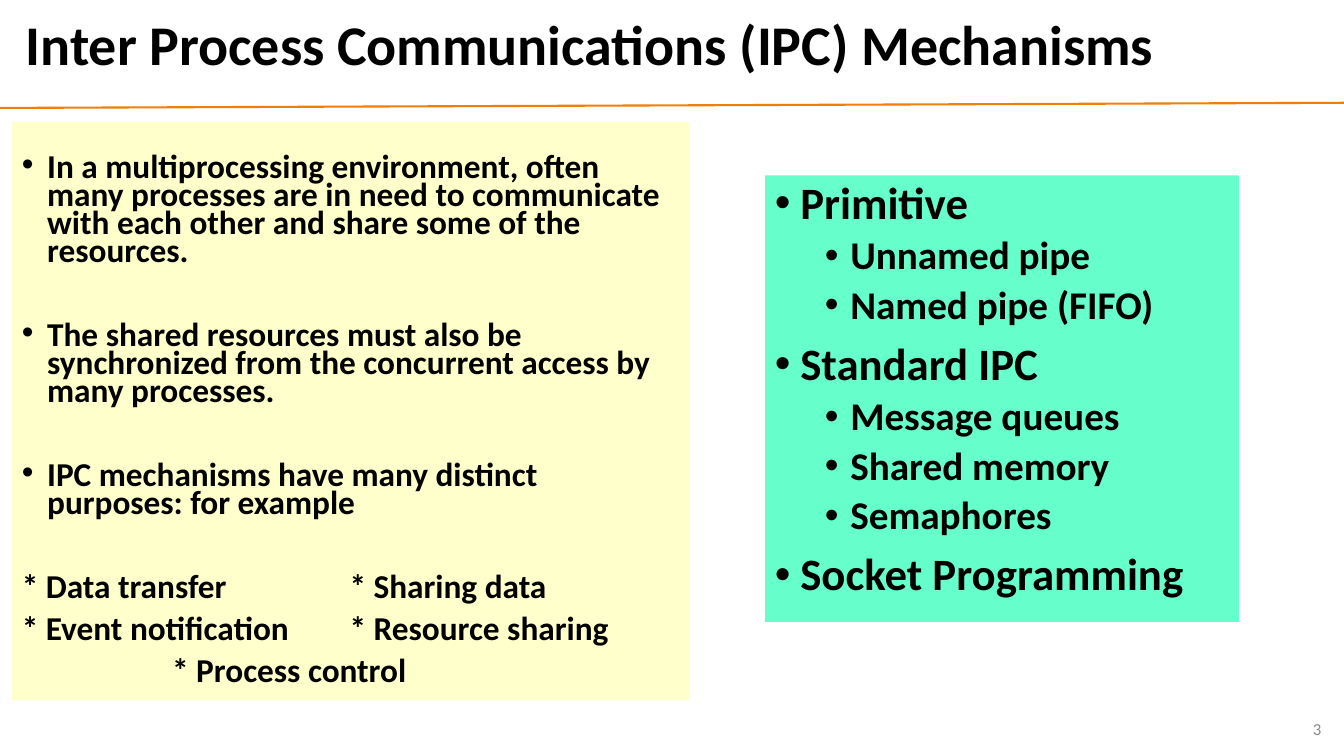
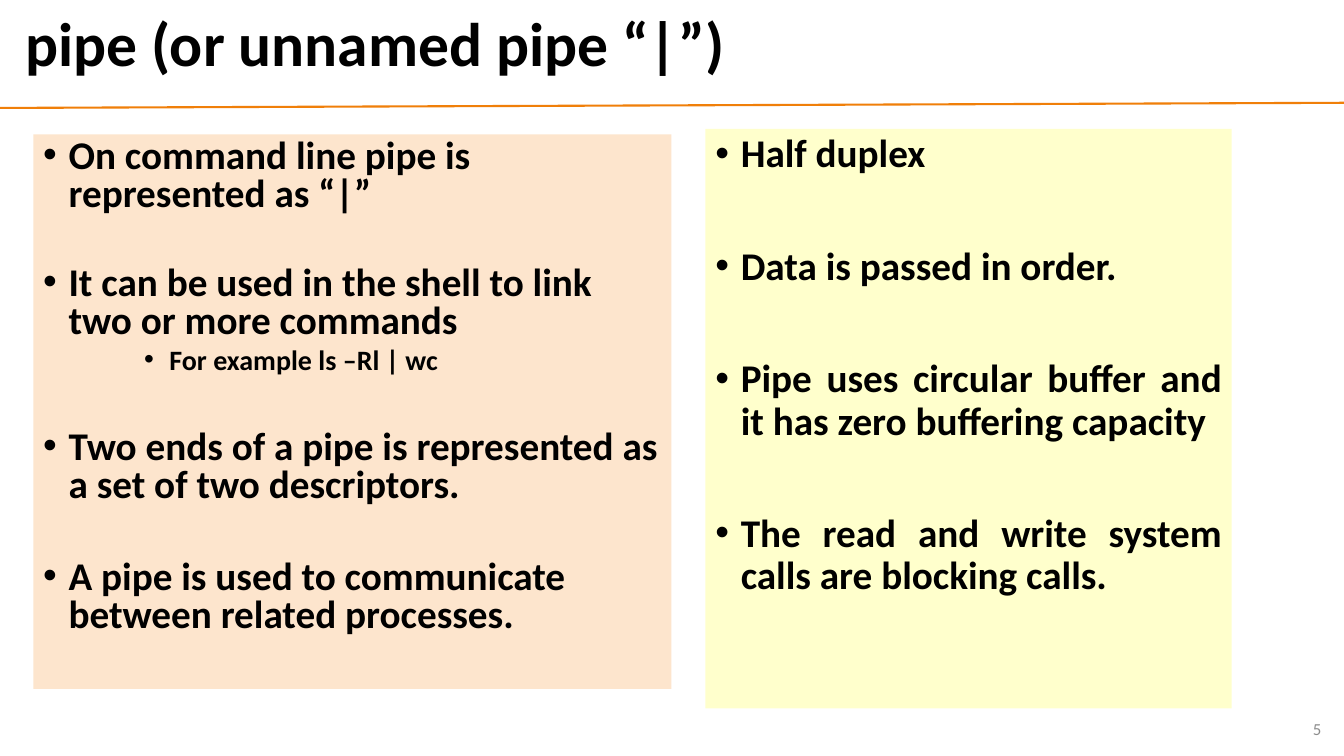
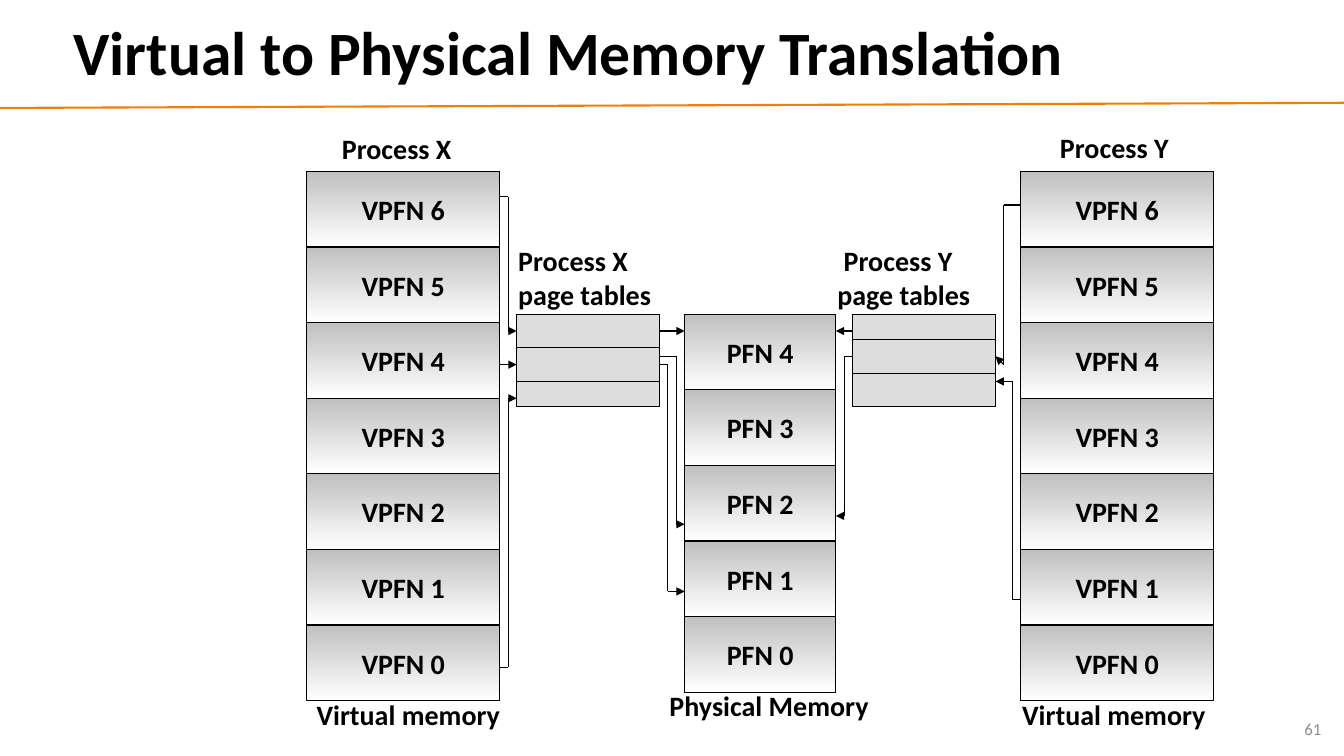
from dataclasses import dataclass
from itertools import pairwise

from lxml.etree import SubElement
from pptx import Presentation
from pptx.dml.color import RGBColor
from pptx.enum.shapes import MSO_CONNECTOR, MSO_SHAPE
from pptx.enum.text import MSO_ANCHOR, PP_ALIGN
from pptx.oxml.ns import qn
from pptx.shapes.autoshape import Shape
from pptx.slide import Slide
from pptx.text.text import TextFrame
from pptx.util import Cm, Pt

FONT = "Calibri"
BLACK = "000000"
ORANGE = "F07F09"
NUMBER_GRAY = "8C8C8C"
CREAM = "FFFFCC"
MINT = "66FFCC"
PEACH = "FDE5CD"
TABLE_GRAY = "DDDDDD"
FRAME_GRAY = "C0C0C0"
WHITE = "FFFFFF"

SLIDE_WIDTH, SLIDE_HEIGHT = 33.87, 19.05
HANG = 0.64
LEVEL_MARGINS = (0.64, 1.9, 3.18)

STEP = 2.54 / 12
DIAGRAM_LEFT, DIAGRAM_TOP = 7.73, 4.32
FRAME_HEIGHT = 9
PAGE_TABLE_TOP, PAGE_TABLE_WIDTH, PAGE_TABLE_HEIGHT = 17, 17, 11


@dataclass
class Line:
    text: str
    size: float
    before: float = 0
    spacing: float = 1
    level: int | None = None
    margin: float = 0
    tab: float = 0
    align: PP_ALIGN = PP_ALIGN.LEFT
    bold: bool = True
    color: str = BLACK


@dataclass
class Box:
    left: float
    top: float
    width: float
    height: float


@dataclass
class Panel:
    box: Box
    fill: str
    lines: list[Line]
    top_inset: float = 0.13


@dataclass
class MemoryColumn:
    prefix: str
    count: int
    left: float
    top: float
    width: float


@dataclass
class PageTable:
    left: float
    dividers: tuple[int, int]


@dataclass
class Label:
    box: Box
    lines: list[Line]


def rgb(code: str) -> RGBColor:
    return RGBColor.from_string(code)


def write(frame: TextFrame, lines: list[Line]) -> None:
    for index, line in enumerate(lines):
        paragraph = frame.paragraphs[0] if index == 0 else frame.add_paragraph()
        paragraph.text = line.text
        paragraph.alignment = line.align
        paragraph.line_spacing = line.spacing
        if line.before:
            paragraph.space_before = Pt(line.before)
        properties = paragraph._p.get_or_add_pPr()
        bulleted = line.level is not None
        margin = LEVEL_MARGINS[line.level] if bulleted else line.margin
        properties.set("marL", str(Cm(margin)))
        properties.set("indent", str(Cm(-HANG if bulleted else 0)))
        if line.tab:
            properties.set("defTabSz", str(Cm(line.tab)))
        if bulleted:
            SubElement(properties, qn("a:buFont"), typeface="Arial")
            SubElement(properties, qn("a:buChar"), char="•")
        font = paragraph.font
        font.name = FONT
        font.size = Pt(line.size)
        font.bold = line.bold
        font.color.rgb = rgb(line.color)


def add_text(slide: Slide, box: Box, lines: list[Line],
             anchor: MSO_ANCHOR = MSO_ANCHOR.TOP) -> None:
    frame = slide.shapes.add_textbox(
        Cm(box.left), Cm(box.top), Cm(box.width), Cm(box.height)).text_frame
    frame.word_wrap = True
    frame.vertical_anchor = anchor
    write(frame, lines)


def add_rectangle(slide: Slide, box: Box, fill: str, outlined: bool = False) -> Shape:
    rectangle = slide.shapes.add_shape(
        MSO_SHAPE.RECTANGLE, Cm(box.left), Cm(box.top), Cm(box.width), Cm(box.height))
    rectangle.shadow.inherit = False
    rectangle.fill.solid()
    rectangle.fill.fore_color.rgb = rgb(fill)
    if outlined:
        rectangle.line.color.rgb = rgb(BLACK)
        rectangle.line.width = Pt(0.75)
    else:
        rectangle.line.fill.background()
    return rectangle


def add_line(slide: Slide, start: tuple[float, float], end: tuple[float, float],
             color: str = BLACK, width: float = 0.75, arrow: bool = False) -> None:
    connector = slide.shapes.add_connector(
        MSO_CONNECTOR.STRAIGHT, Cm(start[0]), Cm(start[1]), Cm(end[0]), Cm(end[1]))
    connector.line.color.rgb = rgb(color)
    connector.line.width = Pt(width)
    if arrow:
        SubElement(connector.line._get_or_add_ln(), qn("a:tailEnd"), type="triangle")
    SubElement(connector._element.spPr, qn("a:effectLst"))


def add_panel(slide: Slide, panel: Panel) -> None:
    frame = add_rectangle(slide, panel.box, panel.fill).text_frame
    frame.word_wrap = True
    frame.vertical_anchor = MSO_ANCHOR.TOP
    frame.margin_top = Cm(panel.top_inset)
    write(frame, panel.lines)


def start_slide(deck: Presentation, title: str, number: int, size: float = 44,
                left: float = 0.4, top: float = 0.13) -> Slide:
    slide = deck.slides.add_slide(deck.slide_layouts[6])
    add_line(slide, (0, 2.72), (SLIDE_WIDTH, 2.59), ORANGE, 1.5)
    add_text(slide, Box(left, top, 32.74, 2.11),
             [Line(title, size, spacing=0.9)], MSO_ANCHOR.MIDDLE)
    add_text(slide, Box(25.93, 17.86, 7.62, 1.02),
             [Line(str(number), 12, align=PP_ALIGN.RIGHT, bold=False, color=NUMBER_GRAY)],
             MSO_ANCHOR.MIDDLE)
    return slide


def at_grid(x: float, y: float) -> tuple[float, float]:
    return DIAGRAM_LEFT + x * STEP, DIAGRAM_TOP + y * STEP


def grid_box(x: float, y: float, width: float, height: float) -> Box:
    return Box(*at_grid(x, y), width * STEP, height * STEP)


def add_memory(slide: Slide, column: MemoryColumn) -> None:
    for row in range(column.count):
        box = grid_box(column.left, column.top + row * FRAME_HEIGHT,
                       column.width, FRAME_HEIGHT)
        page = add_rectangle(slide, box, WHITE, outlined=True)
        page.fill.gradient()
        page.fill.gradient_angle = 270
        for stop, color in zip(page.fill.gradient_stops, (FRAME_GRAY, WHITE)):
            stop.color.rgb = rgb(color)
        page.text_frame.vertical_anchor = MSO_ANCHOR.MIDDLE
        page.text_frame.word_wrap = False
        name = f"{column.prefix} {column.count - 1 - row}"
        write(page.text_frame, [Line(name, 20, align=PP_ALIGN.CENTER)])


def add_page_table(slide: Slide, table: PageTable) -> None:
    add_rectangle(slide, grid_box(table.left, PAGE_TABLE_TOP, PAGE_TABLE_WIDTH,
                                  PAGE_TABLE_HEIGHT), TABLE_GRAY, outlined=True)
    for y in table.dividers:
        add_line(slide, at_grid(table.left, y), at_grid(table.left + PAGE_TABLE_WIDTH, y))


def add_route(slide: Slide, points: list[tuple[float, float]]) -> None:
    segments = list(pairwise(points))
    for index, (start, end) in enumerate(segments, 1):
        add_line(slide, at_grid(*start), at_grid(*end), arrow=index == len(segments))


def purpose(text: str, before: float = 10, margin: float = 0) -> Line:
    return Line(text, 23.8, before, 0.7, margin=margin, tab=8.26)


def mechanism(text: str, level: int = 0, first: bool = False) -> Line:
    before = 0 if first else (10, 5)[level]
    return Line(text, (32, 28)[level], before, 0.9, level)


def build_mechanisms(deck: Presentation) -> None:
    slide = start_slide(deck, "Inter Process Communications (IPC) Mechanisms", 3, size=40)
    statements = (
        "In a multiprocessing environment, often many processes are in need to "
        "communicate with each other and share some of the resources.",
        "The shared resources must also be synchronized from the concurrent access "
        "by many processes.",
        "IPC mechanisms have many distinct purposes: for example",
    )
    reasons = [Line(text, 23.8, 40 if index else 0, 0.7, 0)
               for index, text in enumerate(statements)]
    purposes = [
        purpose("* Data transfer\t* Sharing data", before=40),
        purpose("* Event notification\t* Resource sharing"),
        purpose("* Process control", margin=3.79),
    ]
    add_panel(slide, Panel(Box(0.3, 3.07, 17.07, 14.58), CREAM,
                           reasons + purposes, top_inset=0.86))
    add_panel(slide, Panel(Box(19.28, 4.42, 11.94, 11.25), MINT, [
        mechanism("Primitive", first=True),
        mechanism("Unnamed pipe", 1),
        mechanism("Named pipe (FIFO)", 1),
        mechanism("Standard IPC"),
        mechanism("Message queues", 1),
        mechanism("Shared memory", 1),
        mechanism("Semaphores", 1),
        mechanism("Socket Programming"),
    ]))


def build_pipe(deck: Presentation) -> None:
    slide = start_slide(deck, "pipe (or unnamed pipe “|”)", 5)
    add_panel(slide, Panel(Box(0.84, 3.39, 16.08, 13.97), PEACH, [
        Line("On command line pipe is represented as “|”", 28, 0, 0.8, 0),
        Line("It can be used in the shell to link two or more commands", 28, 37, 0.8, 0),
        Line("For example ls –Rl | wc", 20, 5, 0.8, 2),
        Line("Two ends of a pipe is represented as a set of two descriptors.",
             28, 39, 0.8, 0),
        Line("A pipe is used to communicate between related processes.", 28, 39, 0.8, 0),
    ]))
    properties = (
        "Half duplex",
        "Data is passed in order.",
        "Pipe uses circular buffer and it has zero buffering capacity",
        "The read and write system calls are blocking calls.",
    )
    add_panel(slide, Panel(Box(17.78, 3.25, 13.26, 14.6), CREAM, [
        Line(text, 28, 50 if index else 0, 0.9, 0, align=PP_ALIGN.JUSTIFY)
        for index, text in enumerate(properties)
    ]))


def build_translation(deck: Presentation) -> None:
    slide = start_slide(deck, "Virtual to Physical Memory Translation", 61,
                        left=1.6, top=0.35)
    for column in (
        MemoryColumn("VPFN", 7, 0, 0, 23),
        MemoryColumn("VPFN", 7, 85, 0, 23),
        MemoryColumn("PFN", 5, 45, 17, 18),
    ):
        add_memory(slide, column)
    for table in (PageTable(25, (21, 25)), PageTable(65, (20, 24))):
        add_page_table(slide, table)
    for points in (
        [(23, 3), (24, 3), (24, 19), (25, 19)],
        [(23, 23), (25, 23)],
        [(23, 59), (24, 59), (24, 27), (25, 27)],
        [(42, 19), (45, 19)],
        [(42, 22), (44, 22), (44, 42), (45, 42)],
        [(42, 23), (43, 23), (43, 50), (45, 50)],
        [(65, 19), (63, 19)],
        [(65, 22), (64, 22), (64, 41), (63, 41)],
        [(85, 4), (83, 4), (83, 23), (82, 22)],
        [(85, 51), (84, 51), (84, 25), (82, 25)],
    ):
        add_route(slide, points)
    for label in (
        Label(grid_box(3, -5.3, 20, 5.3), [Line("Process X", 20)]),
        Label(grid_box(88.5, -5.5, 19, 5.3), [Line("Process Y", 20)]),
        Label(grid_box(24, 8, 19, 9.2), [Line("Process X", 20), Line("page tables", 20)]),
        Label(grid_box(62, 8, 19, 9.2),
              [Line("Process Y", 20, margin=0.16), Line("page tables", 20)]),
        Label(grid_box(0, 62, 25, 5.3), [Line("Virtual memory", 20)]),
        Label(grid_box(42, 61, 27, 5.3), [Line("Physical Memory", 20)]),
        Label(grid_box(84, 62, 25, 5.3), [Line("Virtual memory", 20)]),
    ):
        add_text(slide, label.box, label.lines)


def main() -> None:
    deck = Presentation()
    deck.slide_width = Cm(SLIDE_WIDTH)
    deck.slide_height = Cm(SLIDE_HEIGHT)
    build_mechanisms(deck)
    build_pipe(deck)
    build_translation(deck)
    deck.save("out.pptx")


if __name__ == "__main__":
    main()
